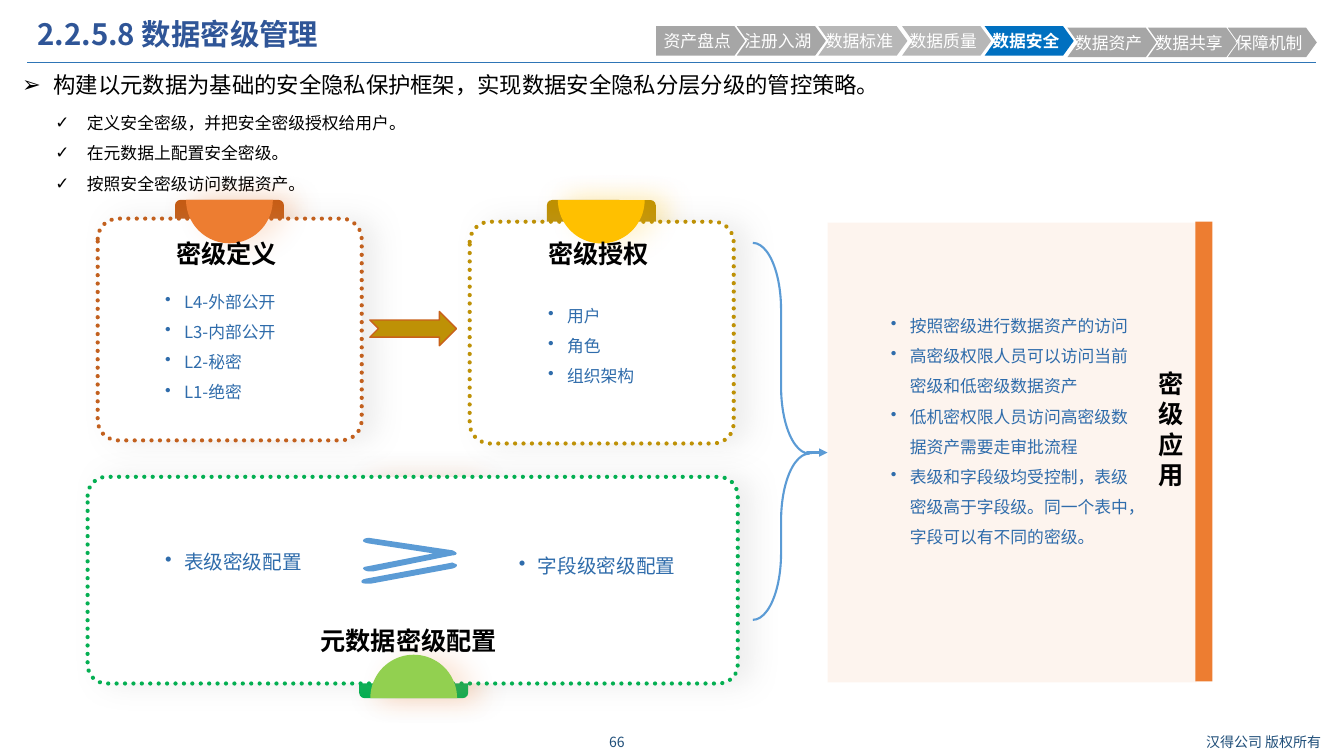
from dataclasses import dataclass
from math import cos, pi, sin
from typing import Optional

from lxml.etree import SubElement
from pptx import Presentation
from pptx.dml.color import RGBColor
from pptx.enum.dml import MSO_LINE
from pptx.enum.shapes import MSO_CONNECTOR, MSO_SHAPE
from pptx.enum.text import MSO_ANCHOR, MSO_AUTO_SIZE, PP_ALIGN
from pptx.oxml.ns import qn
from pptx.util import Pt

FONT = "Noto Sans CJK SC"
BLACK, WHITE = RGBColor(0, 0, 0), RGBColor(255, 255, 255)
NAVY, TITLE_BLUE = RGBColor(0x1F, 0x4E, 0x79), RGBColor(0x2F, 0x55, 0x97)
LIST_BLUE, RULE_BLUE = RGBColor(0x2F, 0x6C, 0xAB), RGBColor(0x2E, 0x75, 0xB6)
LIGHT_BLUE, ACTIVE_BLUE = RGBColor(0x5B, 0x9B, 0xD5), RGBColor(0, 0x70, 0xC0)
GRAY, PALE_GRAY = RGBColor(0xA6, 0xA6, 0xA6), RGBColor(0xB7, 0xB7, 0xB7)
ORANGE, RUST = RGBColor(0xED, 0x7D, 0x31), RGBColor(0xC5, 0x5A, 0x11)
RUST_LINE, PEACH = RGBColor(0xC2, 0x60, 0x1E), RGBColor(0xFB, 0xE5, 0xD6)
GOLD, DARK_GOLD = RGBColor(0xFF, 0xC0, 0), RGBColor(0xBF, 0x90, 0)
GOLD_LINE, ARROW_LINE = RGBColor(0xBE, 0x91, 0x06), RGBColor(0xC9, 0x61, 0x1B)
LIME, GREEN = RGBColor(0x92, 0xD0, 0x50), RGBColor(0, 0xB0, 0x50)
GREEN_LINE = RGBColor(0x04, 0xAF, 0x52)

Box = tuple[float, float, float, float]
Point = tuple[float, float]


@dataclass
class TextStyle:
    size: float
    color: RGBColor
    bold: bool = False
    spacing: float = 1.0
    bullet: str = ""
    indent: float = 13.5
    align: PP_ALIGN = PP_ALIGN.LEFT
    anchor: MSO_ANCHOR = MSO_ANCHOR.TOP


@dataclass
class TextBlock:
    box: Box
    lines: list[str]
    style: TextStyle


@dataclass
class Card:
    box: Box
    line: RGBColor
    tab: Box
    tab_color: RGBColor
    disc: RGBColor
    glow: RGBColor
    upward: bool = False


@dataclass
class Step:
    label: str
    left: float
    top: float = 18.7
    color: RGBColor = GRAY


def write(frame, lines: list[str], style: TextStyle) -> None:
    frame.word_wrap = True
    frame.vertical_anchor = style.anchor
    for index, line in enumerate(lines):
        paragraph = frame.paragraphs[0] if index == 0 else frame.add_paragraph()
        if style.bullet:
            properties = paragraph._p.get_or_add_pPr()
            properties.set("marL", str(Pt(style.indent)))
            properties.set("indent", str(-Pt(style.indent)))
            SubElement(properties, qn("a:buChar"), char=style.bullet)
        layout = {"alignment": style.align, "line_spacing": style.spacing, "space_before": Pt(0)}
        for name, value in layout.items():
            setattr(paragraph, name, value)
        run = paragraph.add_run()
        run.text = line
        for name, value in {"name": FONT, "size": Pt(style.size), "bold": style.bold}.items():
            setattr(run.font, name, value)
        run.font.color.rgb = style.color
        SubElement(run._r.get_or_add_rPr(), qn("a:ea"), typeface=FONT)


def place(shape, box: Box) -> None:
    for name, value in zip(("left", "top", "width", "height"), box):
        setattr(shape, name, Pt(value))


def paint(shape, fill: Optional[RGBColor], line: Optional[RGBColor] = None, width: float = 1) -> None:
    shape.shadow.inherit = False
    if fill is None:
        shape.fill.background()
    else:
        shape.fill.solid()
        shape.fill.fore_color.rgb = fill
    if line is None:
        shape.line.fill.background()
    else:
        shape.line.color.rgb = line
        shape.line.width = Pt(width)


def add_glow(shape, color: RGBColor) -> None:
    effects = shape._element.spPr.find(qn("a:effectLst"))
    shadow = SubElement(effects, qn("a:outerShdw"), blurRad=str(Pt(20)), dist=str(Pt(10)),
                        dir="0", algn="ctr", rotWithShape="0")
    tint = SubElement(shadow, qn("a:srgbClr"), val=str(color))
    SubElement(tint, qn("a:alpha"), val="20000")


def add_preset(slide, kind: MSO_SHAPE, box: Box, adjustments: tuple = ()):
    shape = slide.shapes.add_shape(kind, *map(Pt, box))
    for index, value in enumerate(adjustments):
        shape.adjustments[index] = value
    return shape


def add_outline(slide, contours: list[list[Point]]):
    builder = None
    for contour in contours:
        first, *rest = [(Pt(x), Pt(y)) for x, y in contour]
        if builder is None:
            builder = slide.shapes.build_freeform(*first, scale=1.0)
        else:
            builder.move_to(*first)
        builder.add_line_segments(rest, close=True)
    return builder.convert_to_shape()


def trace(start: Point, segments: list[tuple]) -> list[Point]:
    """Follow lines (x, y) and cubic curves (x1, y1, x2, y2, x, y)."""
    points = [start]
    for segment in segments:
        if len(segment) == 2:
            points.append(segment)
            continue
        corners = [points[-1], segment[:2], segment[2:4], segment[4:]]
        for t in (0.25, 0.5, 0.75, 1):
            weights = ((1 - t) ** 3, 3 * t * (1 - t) ** 2, 3 * t * t * (1 - t), t ** 3)
            points.append(tuple(sum(w * c[axis] for w, c in zip(weights, corners)) for axis in (0, 1)))
    return points


def add_text(slide, block: TextBlock) -> None:
    frame = slide.shapes.add_textbox(*map(Pt, block.box)).text_frame
    write(frame, block.lines, block.style)
    frame.auto_size = MSO_AUTO_SIZE.SHAPE_TO_FIT_TEXT


def add_card(slide, card: Card) -> None:
    tab = add_preset(slide, MSO_SHAPE.ROUNDED_RECTANGLE, card.tab, (0.049,))
    paint(tab, card.tab_color)
    add_glow(tab, card.glow)
    frame = add_preset(slide, MSO_SHAPE.ROUNDED_RECTANGLE, card.box, (0.091,))
    paint(frame, WHITE, card.line, 3)
    frame.line.dash_style = MSO_LINE.ROUND_DOT
    frame._element.spPr.find(qn("a:ln")).set("cap", "rnd")
    add_glow(frame, GRAY)
    left, top, width, height = card.tab
    flat, turn = (top + height, -1) if card.upward else (top, 1)
    center, radius = left + width / 2, 31
    arc = [(center + radius * cos(pi * i / 40), flat + turn * radius * sin(pi * i / 40)) for i in range(41)]
    disc = add_outline(slide, [arc])
    paint(disc, card.disc)
    add_glow(disc, card.glow)


def add_step(slide, step: Step, first: bool) -> None:
    left, top, middle, bottom = step.left, step.top, step.top + 10.5, step.top + 21
    notch = [] if first else [(left + 7.5, middle)]
    corners = [(left, top), (left + 56, top), (left + 63.6, middle), (left + 56, bottom), (left, bottom)]
    shape = add_outline(slide, [corners + notch])
    paint(shape, step.color)
    frame = shape.text_frame
    for name, value in {"margin_left": 5.4, "margin_right": 0, "margin_top": 0, "margin_bottom": 0}.items():
        setattr(frame, name, Pt(value))
    active = step.color == ACTIVE_BLUE
    write(frame, [step.label], TextStyle(12, WHITE, active, anchor=MSO_ANCHOR.MIDDLE))


def add_line(slide, start: Point, end: Point, color: RGBColor, width: float):
    line = slide.shapes.add_connector(MSO_CONNECTOR.STRAIGHT, *map(Pt, start + end))
    line.line.color.rgb = color
    line.line.width = Pt(width)
    SubElement(line._element.spPr, qn("a:effectLst"))
    return line


HEADING = TextStyle(18, BLACK, True, anchor=MSO_ANCHOR.MIDDLE)
LIST = TextStyle(12, LIST_BLUE, spacing=1.5, bullet="•")
LARGE_LIST = TextStyle(14, LIST_BLUE, spacing=1.5, bullet="•")
FOOTER = TextStyle(10, NAVY, align=PP_ALIGN.CENTER, anchor=MSO_ANCHOR.MIDDLE)

PLACEHOLDERS = [
    TextBlock((19.4, 10.8, 833, 30.2), ["2.2.5.8 数据密级管理"],
              TextStyle(21, TITLE_BLUE, True, 0.9, anchor=MSO_ANCHOR.MIDDLE)),
    TextBlock((8.6, 47.5, 692, 26.6), ["构建以元数据为基础的安全隐私保护框架，实现数据安全隐私分层分级的管控策略。"],
              TextStyle(16, BLACK, bullet="➢", indent=22.5)),
    TextBlock((32.4, 69.8, 692, 72.7),
              ["定义安全密级，并把安全密级授权给用户。", "在元数据上配置安全密级。", "按照安全密级访问数据资产。"],
              TextStyle(12, BLACK, spacing=1.5, bullet="✓", indent=22.5)),
]
CARDS = [
    Card((69.8, 156.2, 188.6, 158.4), RUST_LINE, (125, 142.8, 77.8, 163.4), RUST, ORANGE, ORANGE),
    Card((335.5, 158.4, 188.6, 158.4), GOLD_LINE, (390.6, 142.9, 77.8, 163.4), DARK_GOLD, GOLD, GOLD),
    Card((62.6, 340.6, 464.4, 147.6), GREEN_LINE, (256.6, 341, 77.8, 157.7), GREEN, LIME, ORANGE, True),
]
TEXTS = [
    TextBlock((118.8, 166.3, 90, 28.8), ["密级定义"], HEADING),
    TextBlock((110.9, 197.3, 105.8, 94.3), ["L4-外部公开", "L3-内部公开", "L2-秘密", "L1-绝密"], LIST),
    TextBlock((384.5, 166.3, 90, 28.8), ["密级授权"], HEADING),
    TextBlock((384.5, 207.4, 90, 72.7), ["用户", "角色", "组织架构"], LIST),
    TextBlock((221.8, 442.8, 147.6, 29.5), ["元数据密级配置"], HEADING),
    TextBlock((110.9, 380.9, 132.5, 32.4), ["表级密级配置"], LARGE_LIST),
    TextBlock((363.6, 383.8, 135.4, 32.4), ["字段级密级配置"], LARGE_LIST),
    TextBlock((820.8, 259.2, 33.8, 94.3), list("密级应用"), HEADING),
    TextBlock((629.3, 214.6, 184.3, 181.4),
              ["按照密级进行数据资产的访问", "高密级权限人员可以访问当前密级和低密级数据资产",
               "低机密权限人员访问高密级数据资产需要走审批流程",
               "表级和字段级均受控制，表级密级高于字段级。同一个表中，字段可以有不同的密级。"], LIST),
    TextBlock((415.4, 520.6, 50.4, 19.4), ["66"], FOOTER),
    TextBlock((845.3, 520.6, 114.5, 19.4), ["汉得公司 版权所有"], FOOTER),
]
STEPS = [
    Step("资产盘点", 468.7), Step("注册入湖", 526.3), Step("数据标准", 584.6, color=PALE_GRAY),
    Step("数据质量", 644.4, color=PALE_GRAY), Step("数据安全", 703.4, color=ACTIVE_BLUE),
    Step("数据资产", 762.5, 19.8), Step("数据共享", 820, 19.8), Step("保障机制", 877, 19.8),
]
LOWER_BAR = trace((323.3, 401.8), [
    (324, 402.5, 325.4, 402.5, 326.2, 403.2), (326.9, 403.9, 326.2, 405.4, 323.3, 406.1), (265, 416.9),
    (262.8, 416.9), (261.4, 416.9, 259.2, 416.9, 258.5, 416.2),
    (257.8, 414.7, 258.5, 414, 261.4, 413.3), (319.7, 402.5)])
UPPER_ANGLE = trace((265.7, 384.5), [
    (323.3, 393.1), (324.7, 393.8, 326.2, 394.6, 326.2, 395.3), (326.2, 396, 325.4, 396.7, 323.3, 396.7),
    (266.4, 408.2), (264.2, 408.2), (262.1, 408.2, 260.6, 407.5, 259.9, 406.8),
    (258.5, 406.1, 259.9, 404.6, 262.1, 404.6), (309.6, 395.3), (262.8, 388.1),
    (259.9, 387.4, 258.5, 386.6, 259.9, 385.2), (260.6, 384.5, 263.5, 383.8, 265.7, 384.5)])


def main() -> None:
    presentation = Presentation()
    presentation.slide_width, presentation.slide_height = Pt(960), Pt(540)
    slide = presentation.slides.add_slide(presentation.slide_layouts[3])

    # Title and introduction
    for shape, block in zip(list(slide.placeholders), PLACEHOLDERS):
        place(shape, block.box)
        write(shape.text_frame, block.lines, block.style)
        shape.text_frame.auto_size = MSO_AUTO_SIZE.NONE
    add_line(slide, (19.4, 44.6), (940.3, 44.6), RULE_BLUE, 0.75)

    # Cards, application panel and arrow
    for card in CARDS:
        add_card(slide, card)
    panel = add_preset(slide, MSO_SHAPE.RECTANGLE, (591.1, 159.1, 263.5, 328.3))
    paint(panel, PEACH)
    SubElement(panel._element.spPr.find(qn("a:solidFill"))[0], qn("a:alpha"), val="40000")
    paint(add_preset(slide, MSO_SHAPE.RECTANGLE, (853.9, 158.4, 12.2, 328.3)), ORANGE)
    paint(add_preset(slide, MSO_SHAPE.NOTCHED_RIGHT_ARROW, (264.2, 222.5, 61.9, 24.5)), GOLD_LINE, ARROW_LINE)

    # Brace leading to the panel
    brace = add_preset(slide, MSO_SHAPE.RIGHT_BRACE, (537.8, 173.5, 40.3, 269.3), (1.185, 0.559))
    paint(brace, None, LIGHT_BLUE, 1.5)
    pointer = add_line(slide, (576, 323.3), (591.1, 323.3), LIGHT_BLUE, 2)
    pointer.end_connect(panel, 1)
    SubElement(pointer._element.spPr.find(qn("a:ln")), qn("a:tailEnd"), type="triangle")

    # Comparison sign, texts and chapter steps
    paint(add_outline(slide, [LOWER_BAR, UPPER_ANGLE]), LIGHT_BLUE)
    for block in TEXTS:
        add_text(slide, block)
    for index, step in enumerate(STEPS):
        add_step(slide, step, index == 0)

    presentation.save("out.pptx")


if __name__ == "__main__":
    main()
